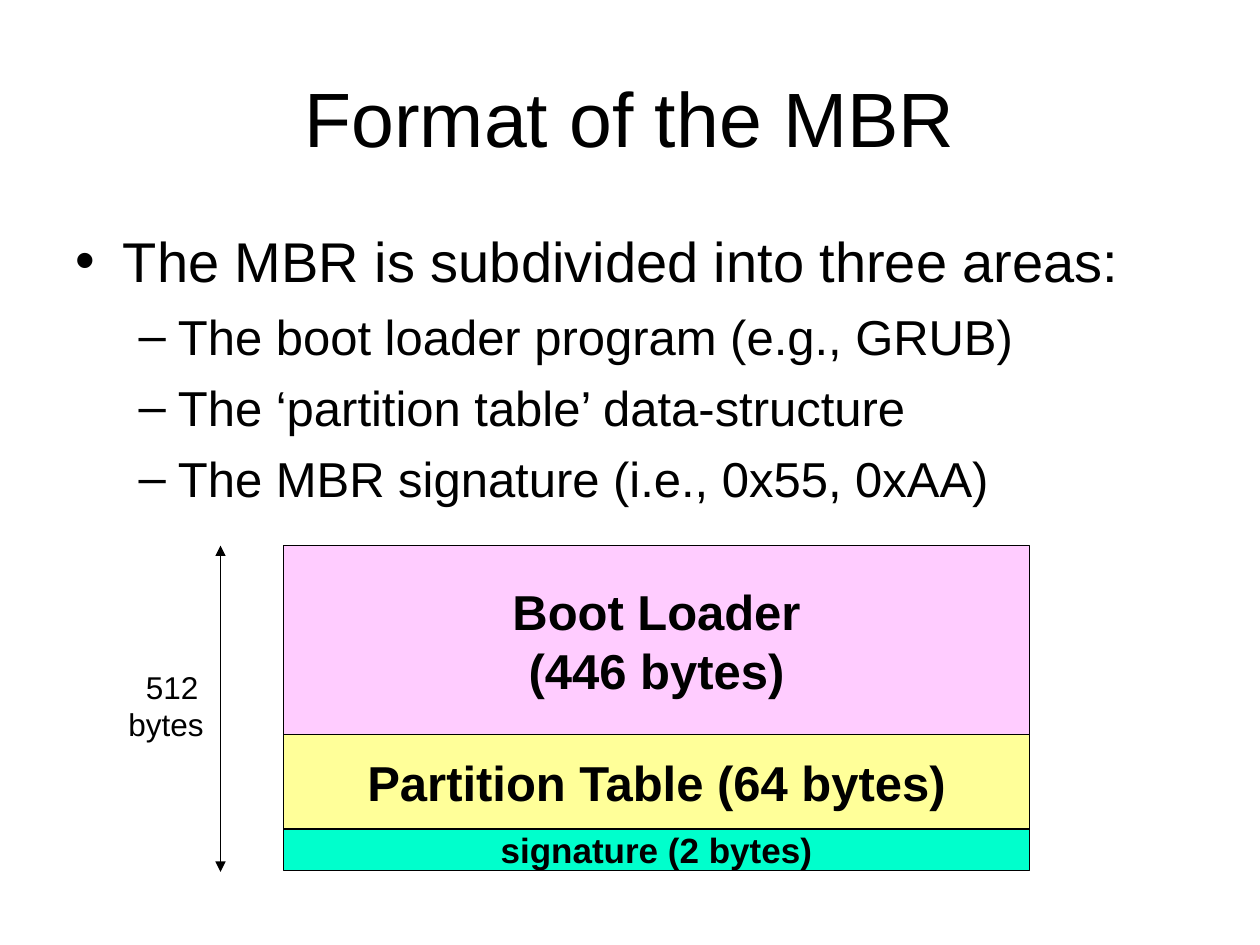
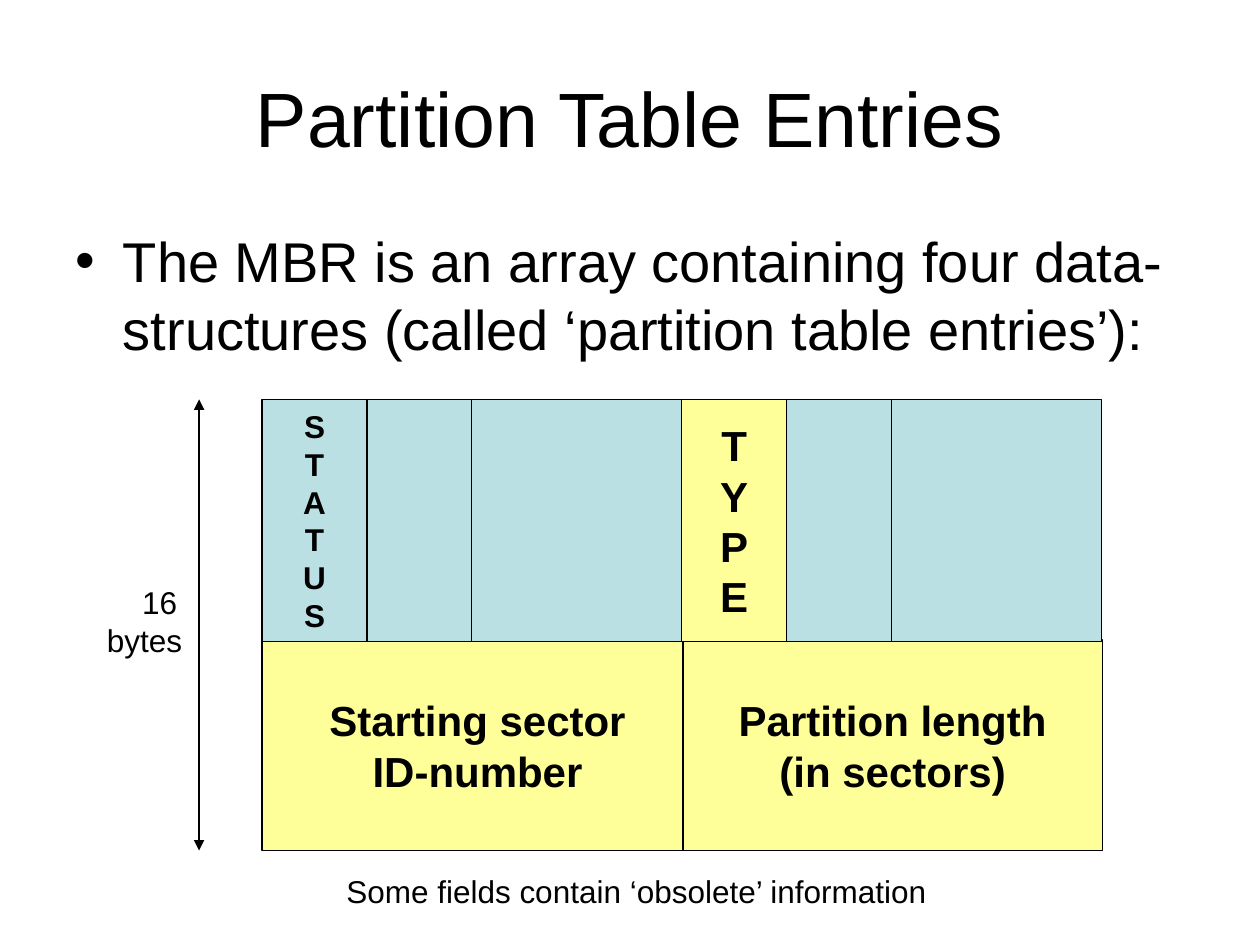
"""Build two slides on the layout of the MBR and its partition table entries."""
from lxml.etree import SubElement
from pptx import Presentation
from pptx.dml.color import RGBColor
from pptx.enum.shapes import MSO_CONNECTOR as LINE, MSO_SHAPE as SHAPE
from pptx.enum.text import MSO_ANCHOR as ANCHOR, MSO_AUTO_SIZE as FIT, PP_ALIGN as ALIGN
from pptx.oxml.ns import qn
from pptx.util import Inches, Pt

BLACK = RGBColor(0x00, 0x00, 0x00)
PINK = RGBColor(0xFF, 0xCC, 0xFF)
YELLOW = RGBColor(0xFF, 0xFF, 0x99)
GREEN = RGBColor(0x00, 0xFF, 0xCC)
BLUE = RGBColor(0xBB, 0xE0, 0xE3)


def write(shape, lines, size=18, bold=False, align=ALIGN.LEFT, anchor=ANCHOR.TOP,
          wrap=False, level=0, gap=0, add=False):
    """Write lines into a shape, after any text already there if add is set."""
    frame = shape.text_frame
    frame.word_wrap = wrap
    frame.auto_size = FIT.NONE
    frame.vertical_anchor = anchor
    for i, line in enumerate(lines):
        par = frame.add_paragraph() if add or i else frame.paragraphs[0]
        par.text = line
        par.level = level
        par.alignment = align
        par.space_before = Pt(gap)
        par.font.name = "Arial"
        par.font.size = Pt(size)
        par.font.bold = bold
        par.font.color.rgb = BLACK


def block(slide, box, fill, lines=(), size=24):
    """Draw an outlined field with centred bold text."""
    rect = slide.shapes.add_shape(SHAPE.RECTANGLE, *map(Inches, box))
    rect.shadow.inherit = False
    rect.fill.solid()
    rect.fill.fore_color.rgb = fill
    rect.line.color.rgb = BLACK
    rect.line.width = Pt(0.75)
    if lines:
        write(rect, lines, size=size, bold=True, align=ALIGN.CENTER, anchor=ANCHOR.MIDDLE)


deck = Presentation()
deck.slide_width, deck.slide_height = Inches(10), Inches(7.5)

pages = [
    ("Format of the MBR", "The MBR is subdivided into three areas:",
     ["The boot loader program (e.g., GRUB)", "The ‘partition table’ data-structure",
      "The MBR signature (i.e., 0x55, 0xAA)"],
     "512", 0.14, 1.75, 4.33, 6.92, 5.25),
    ("Partition Table Entries",
     "The MBR is an array containing four data-structures (called ‘partition table entries’):",
     [], "16", 0.28, 1.58, 3.17, 6.75, 4.58),
]

for title, point, items, count, shift, x, top, end, y in pages:
    slide = deck.slides.add_slide(deck.slide_layouts[1])
    head, body = slide.placeholders
    head.left, head.top, head.width, head.height = map(Inches, (0.5, 0.3, 9, 1.25))
    write(head, [title], size=44, align=ALIGN.CENTER, anchor=ANCHOR.MIDDLE, wrap=True)
    body.left, body.top, body.width, body.height = map(Inches, (0.5, 1.75, 9, 4.95))
    write(body, [point], size=32, wrap=True)
    write(body, items, size=28, wrap=True, level=1, gap=7, add=True)

    span = slide.shapes.add_connector(LINE.STRAIGHT, *map(Inches, (x, top, x, end)))
    span.line.color.rgb = BLACK
    span.line.width = Pt(0.75)
    for tip in ("a:headEnd", "a:tailEnd"):
        SubElement(span.line._get_or_add_ln(), qn(tip), type="triangle")
    SubElement(span._element.spPr, qn("a:effectLst"))

    label = slide.shapes.add_textbox(*map(Inches, (x - 0.83, y, 0.8, 0.7)))
    write(label, [count, "bytes"])
    first = label.text_frame.paragraphs[0]._p.get_or_add_pPr()
    first.set("marL", str(Inches(shift)))

mbr, entry = deck.slides

y = 4.33
for lines, high, fill, size in [
    (["Boot Loader", "(446 bytes)"], 1.5, PINK, 28),
    (["Partition Table (64 bytes)"], 0.75, YELLOW, 28),
    (["signature (2 bytes)"], 0.33, GREEN, 20),
]:
    block(mbr, (2.25, y, 5.92, high), fill, lines, size)
    y += high

block(entry, (2.08, 5.08, 3.42, 1.67), YELLOW, ["Starting sector", "ID-number"])
block(entry, (5.42, 5.08, 3.33, 1.67), YELLOW, ["Partition length", "(in sectors)"])

unit = 3.33 / 4
x = 2.08
for word, units, fill, size in [
    ("STATUS", 1, BLUE, 18), ("", 1, BLUE, 18), ("", 2, BLUE, 18),
    ("TYPE", 1, YELLOW, 24), ("", 1, BLUE, 18), ("", 2, BLUE, 18),
]:
    block(entry, (x, 3.17, units * unit, 1.92), fill, list(word), size)
    x += units * unit

note = entry.shapes.add_textbox(*map(Inches, (2.65, 6.87, 4.81, 0.4)))
write(note, ["Some fields contain ‘obsolete’ information"])

deck.save("out.pptx")
